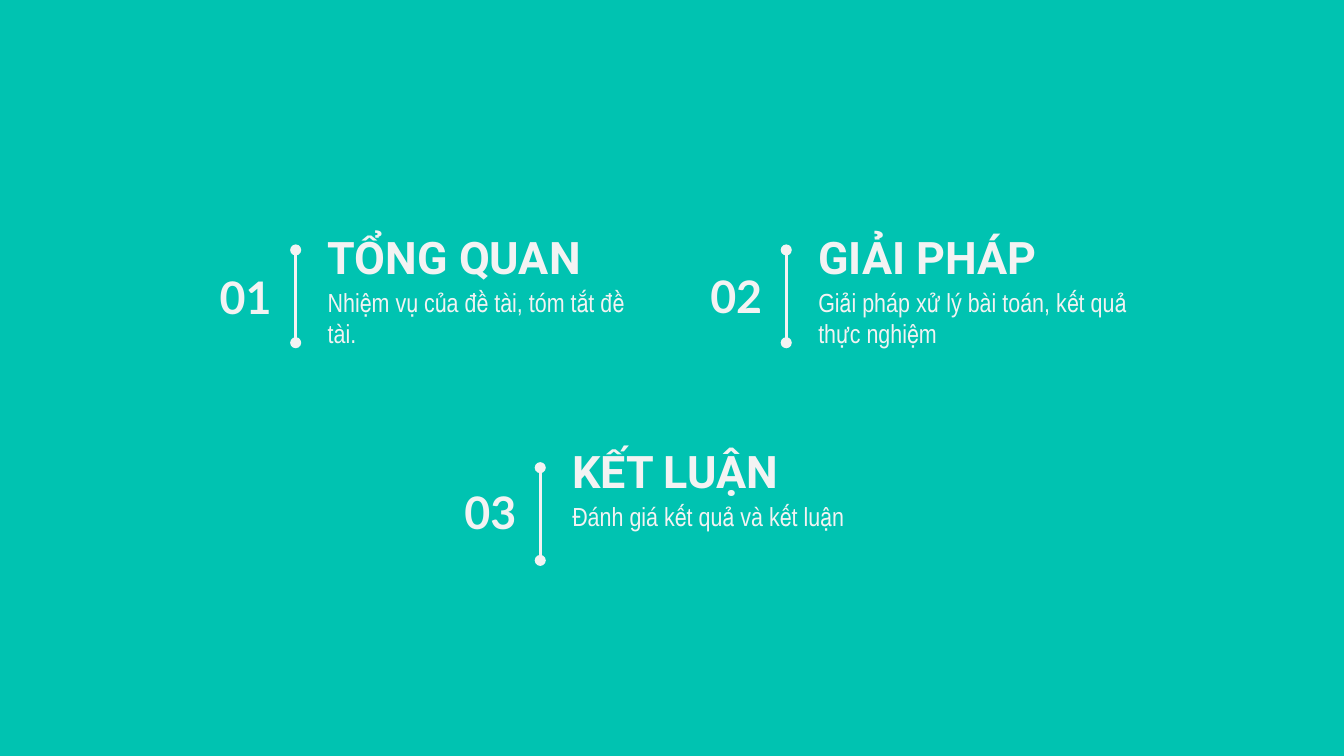
from pptx import Presentation
from pptx.dml.color import RGBColor
from pptx.enum.shapes import MSO_CONNECTOR
from pptx.enum.text import MSO_ANCHOR, PP_ALIGN
from pptx.oxml.ns import qn
from pptx.util import Inches, Pt
from lxml.etree import SubElement

BACK, LIGHT = "00C3B1", "F3F3F3"
WIDTH = 10

HEAD = {"name": "Roboto", "size": Pt(24), "bold": True}
NUMBER = {"name": "Lato", "size": Pt(24), "bold": True}
BODY = {"name": "Arial Narrow", "size": Pt(14), "bold": False}

# Number, title, text, left, top, drop of the number, drop of the rule
ITEMS = [
    ("01", "TỔNG QUAN", "Nhiệm vụ của đề tài, tóm tắt đề tài.", 1.46, 1.68, 0.3, 0.18),
    ("02", "GIẢI PHÁP", "Giải pháp xử lý bài toán, kết quả thực nghiệm", 5.11, 1.68, 0.29, 0.18),
    ("03", "KẾT LUẬN", "Đánh giá kết quả và kết luận", 3.28, 3.27, 0.31, 0.21),
]


def color(code):
    return RGBColor.from_string(code)


def add_text(slide, text, box, style, anchor=MSO_ANCHOR.MIDDLE, align=PP_ALIGN.LEFT, after=0):
    frame = slide.shapes.add_textbox(*map(Inches, box)).text_frame
    frame.word_wrap = True
    frame.vertical_anchor = anchor
    for side in ("left", "top", "right", "bottom"):
        setattr(frame, f"margin_{side}", Inches(0.1))
    para = frame.paragraphs[0]
    para.alignment = align
    para.space_after = Pt(after)
    run = para.add_run()
    run.text = text
    for key, value in style.items():
        setattr(run.font, key, value)
    run.font.color.rgb = color(LIGHT)


def add_rule(slide, x, y, height):
    rule = slide.shapes.add_connector(
        MSO_CONNECTOR.STRAIGHT, Inches(x), Inches(y), Inches(x), Inches(y + height))
    rule.line.color.rgb = color(LIGHT)
    rule.line.width = Pt(1.5)
    # Round ends, no shadow
    for end in ("a:headEnd", "a:tailEnd"):
        SubElement(rule.line._get_or_add_ln(), qn(end), type="oval")
    SubElement(rule._element.spPr, qn("a:effectLst"))


def add_item(slide, number, title, text, left, top, fall, drop):
    # Title and text
    add_text(slide, title, (left + 0.88, top, 2.56, 0.46), HEAD)
    add_text(slide, text, (left + 0.88, top + 0.35, 2.56, 0.71), BODY, MSO_ANCHOR.TOP, after=16)
    # Number and rule
    add_text(slide, number, (left, top + fall, 0.66, 0.46), NUMBER, align=PP_ALIGN.RIGHT)
    add_rule(slide, left + 0.74, top + drop, 0.69)


def main():
    deck = Presentation()
    deck.slide_width, deck.slide_height = Inches(WIDTH), Inches(WIDTH * 9 / 16)
    slide = deck.slides.add_slide(deck.slide_layouts[6])
    fill = slide.background.fill
    fill.solid()
    fill.fore_color.rgb = color(BACK)
    for item in ITEMS:
        add_item(slide, *item)
    deck.save("out.pptx")


if __name__ == "__main__":
    main()
